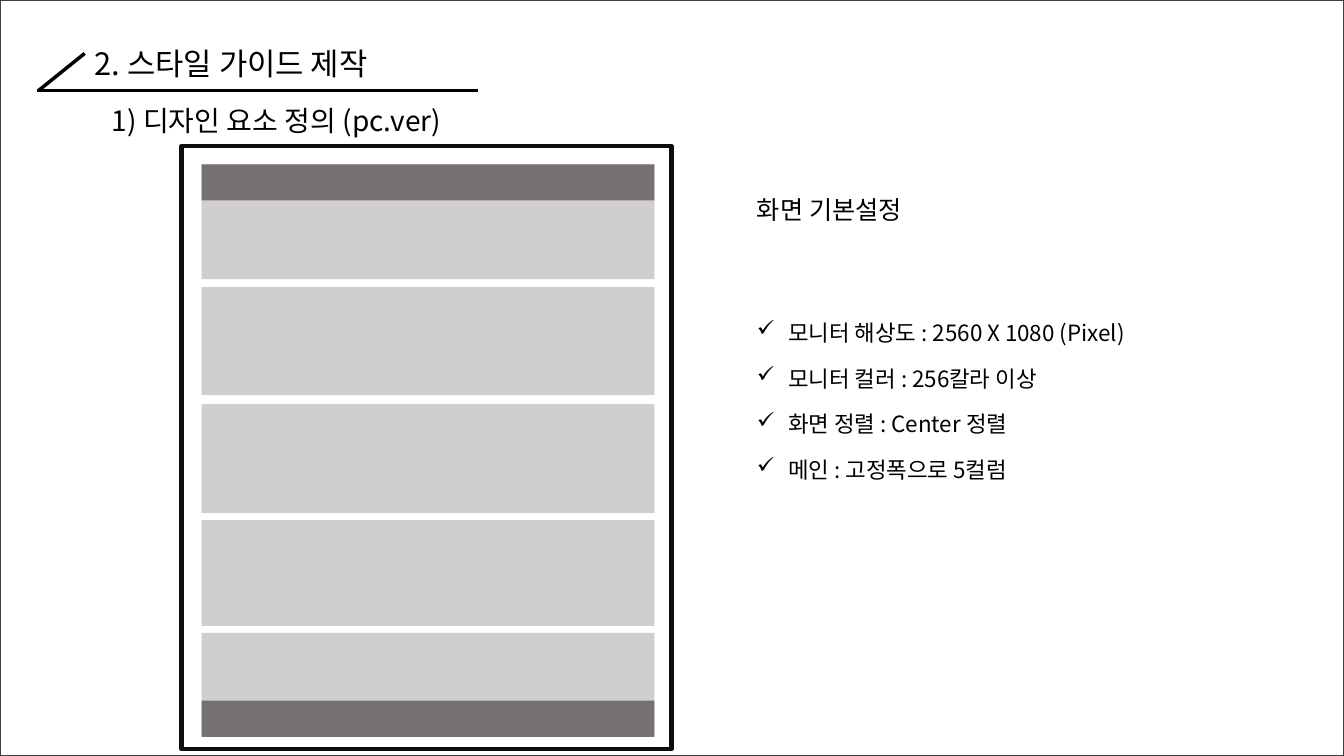
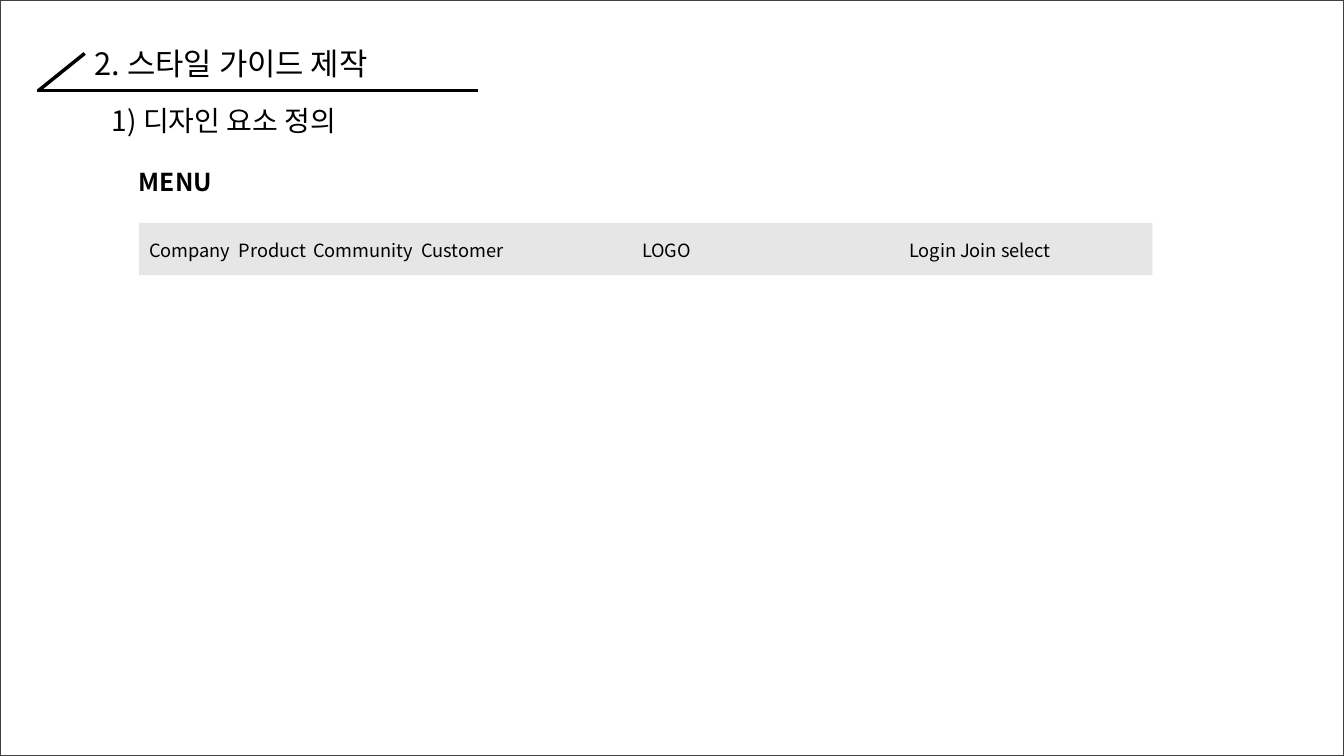
import dataclasses

import lxml.etree
import pptx
import pptx.dml.color
import pptx.enum.shapes
import pptx.enum.text
import pptx.oxml.ns
import pptx.util

Inches = pptx.util.Inches
Pt = pptx.util.Pt
qn = pptx.oxml.ns.qn


@dataclasses.dataclass(frozen=True)
class Theme:
    """Colours, font and type sizes shared by the slides."""
    font: str = "Noto Sans CJK KR"
    text: str = "000000"
    paper: str = "FFFFFF"
    edge: str = "404040"
    screen: str = "0D0D0D"
    bar: str = "767171"
    block: str = "D0CECE"
    menu: str = "E7E6E6"
    title: float = 22
    subtitle: float = 20
    heading: float = 18
    label: float = 17.6
    body: float = 16
    item: float = 13
    rule: float = 2.5


THEME = Theme()
SLIDE_W, SLIDE_H = 13.33, 7.5


def rgb(color):
    """Return a colour object for an RRGGBB string."""
    return pptx.dml.color.RGBColor.from_string(color)


def place(sp, left, top, width, height):
    """Move and size a shape, in inches."""
    sp.left, sp.top = Inches(left), Inches(top)
    sp.width, sp.height = Inches(width), Inches(height)


def write(sp, lines, size, bold=False, spacing=0.9):
    """Fill a shape with one left-aligned paragraph per line."""
    tf = sp.text_frame
    tf.word_wrap = True
    tf.auto_size = pptx.enum.text.MSO_AUTO_SIZE.NONE
    tf.vertical_anchor = pptx.enum.text.MSO_ANCHOR.MIDDLE
    tf.text = "\n".join(lines)
    for p in tf.paragraphs:
        p.alignment = pptx.enum.text.PP_ALIGN.LEFT
        p.line_spacing = spacing
        for r in p.runs:
            r.font.name, r.font.size, r.font.bold = THEME.font, Pt(size), bold
            r.font.color.rgb = rgb(THEME.text)
            ea = lxml.etree.SubElement(r.font._element, qn("a:ea"))
            ea.set("typeface", THEME.font)


def add_text(s, box, lines, size, **style):
    """Add a text box and return it."""
    sp = s.shapes.add_textbox(0, 0, 0, 0)
    place(sp, *box)
    write(sp, lines, size, **style)
    return sp


def add_rect(s, box, fill=None, line=None, weight=1):
    """Add a rectangle with an optional fill and outline."""
    sp = s.shapes.add_shape(pptx.enum.shapes.MSO_SHAPE.RECTANGLE, 0, 0, 0, 0)
    place(sp, *box)
    sp.shadow.inherit = False
    if fill:
        sp.fill.solid()
        sp.fill.fore_color.rgb = rgb(fill)
    else:
        sp.fill.background()
    if line:
        sp.line.color.rgb = rgb(line)
        sp.line.width = Pt(weight)
    else:
        sp.line.fill.background()


def add_line(s, x1, y1, x2, y2):
    """Add a heading rule between two points."""
    ends = [Inches(v) for v in (x1, y1, x2, y2)]
    cn = s.shapes.add_connector(pptx.enum.shapes.MSO_CONNECTOR.STRAIGHT, *ends)
    cn.line.color.rgb = rgb(THEME.text)
    cn.line.width = Pt(THEME.rule)
    lxml.etree.SubElement(cn._element.spPr, qn("a:effectLst"))


def add_checks(sp, indent=0.31):
    """Give every paragraph a hanging check mark."""
    for p in sp.text_frame.paragraphs:
        pPr = p._p.get_or_add_pPr()
        pPr.set("marL", str(Inches(indent)))
        pPr.set("indent", str(-Inches(indent)))
        lxml.etree.SubElement(pPr, qn("a:buChar")).set("char", "✓")


def add_tabs(sp, stops):
    """Set left tab stops, in inches, on the first paragraph."""
    pPr = sp.text_frame.paragraphs[0]._p.get_or_add_pPr()
    tabs = lxml.etree.SubElement(pPr, qn("a:tabLst"))
    for stop in stops:
        tab = lxml.etree.SubElement(tabs, qn("a:tab"))
        tab.set("pos", str(Inches(stop)))
        tab.set("algn", "l")


def add_slide(prs, subtitle):
    """Add a slide with the shared frame, title, rules and subtitle."""
    s = prs.slides.add_slide(prs.slide_layouts[5])
    s.background.fill.solid()
    s.background.fill.fore_color.rgb = rgb(THEME.paper)
    place(s.shapes.title, 0.84, 0.4, 5.65, 0.5)
    write(s.shapes.title, ["2. 스타일 가이드 제작"], THEME.title)
    add_rect(s, (0, 0, SLIDE_W, SLIDE_H), line=THEME.edge)
    add_line(s, 0.84, 0.53, 0.38, 0.9)
    add_line(s, 0.37, 0.9, 4.74, 0.9)
    add_text(s, (1.01, 0.96, 4.51, 0.5), [subtitle], THEME.subtitle)
    return s


def build_screen(prs):
    """Build the slide with the page wireframe and its settings."""
    s = add_slide(prs, "1) 디자인 요소 정의 (pc.ver)")
    left, width, bar = 2, 4.49, 0.36
    add_rect(s, (1.8, 1.45, 4.86, 5.98), THEME.paper, THEME.screen, 3)
    blocks = [(1.63, 1.14), (2.85, 1.07), (4.01, 1.08), (5.16, 1.05), (6.28, 1.03)]
    for top, height in blocks:
        add_rect(s, (left, top, width, height), THEME.block)
    header_top, footer_top = blocks[0][0], sum(blocks[-1]) - bar
    for top in (header_top, footer_top):
        add_rect(s, (left, top, width, bar), THEME.bar)
    add_text(s, (7.41, 1.85, 1.8, 0.5), ["화면 기본설정"], THEME.heading)
    settings = [
        "모니터 해상도 : 2560 X 1080 (Pixel)",
        "모니터 컬러 : 256칼라 이상",
        "화면 정렬 : Center 정렬",
        "메인 : 고정폭으로 5컬럼",
    ]
    add_checks(add_text(s, (7.41, 2.33, 4.93, 3.11), settings, THEME.body, spacing=1.7))


def build_menu(prs):
    """Build the slide with the menu bar."""
    s = add_slide(prs, "1) 디자인 요소 정의")
    add_text(s, (1.28, 1.55, 1.87, 0.55), ["MENU"], THEME.label, bold=True)
    add_rect(s, (1.38, 2.21, 10.05, 0.52), THEME.menu)
    groups = [
        (1.38, 4.43, "Company\tProduct\tCommunity\tCustomer"),
        (6.27, 0.9, "LOGO"),
        (8.92, 2.23, "Login Join select"),
    ]
    boxes = [add_text(s, (left, 2.1, width, 0.73), [label], THEME.item, spacing=1.2)
             for left, width, label in groups]
    add_tabs(boxes[0], (0.89, 1.63, 2.7))


def main():
    """Build and save the presentation."""
    prs = pptx.Presentation()
    prs.slide_width, prs.slide_height = Inches(SLIDE_W), Inches(SLIDE_H)
    build_screen(prs)
    build_menu(prs)
    prs.save("out.pptx")


if __name__ == "__main__":
    main()
